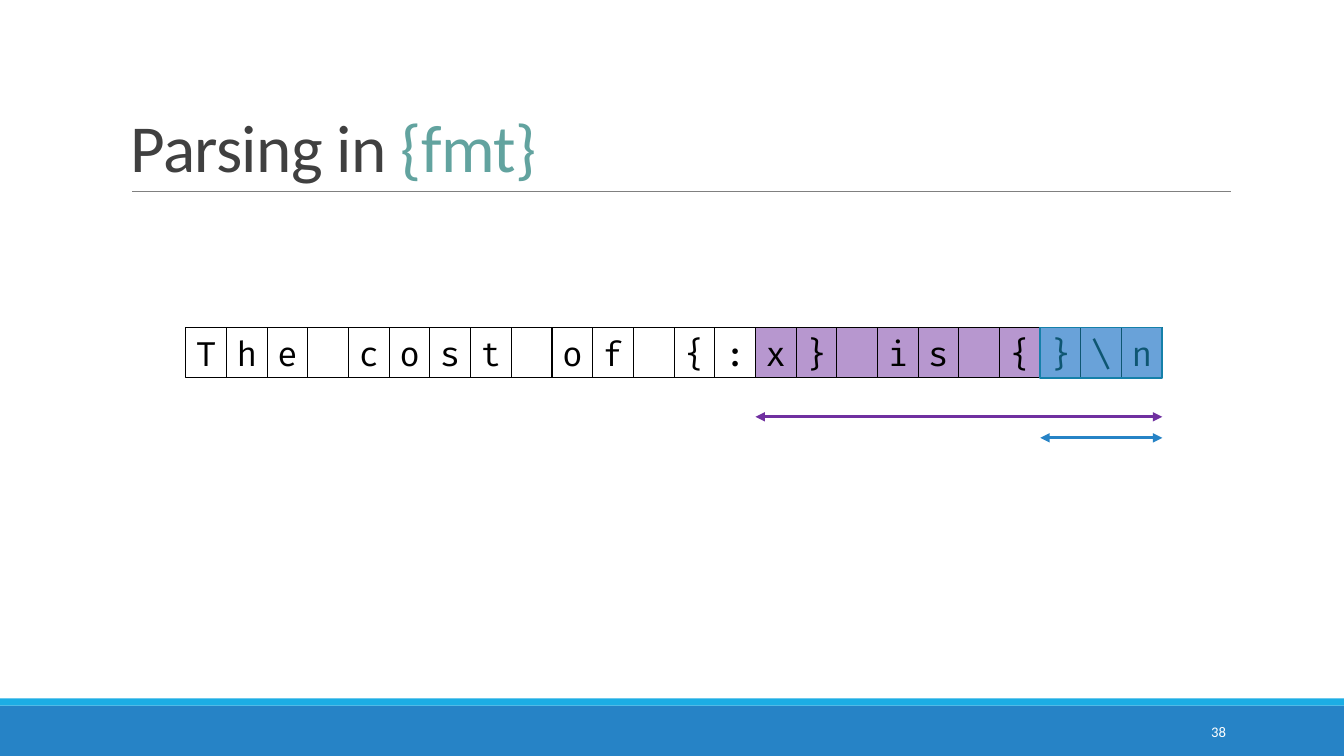
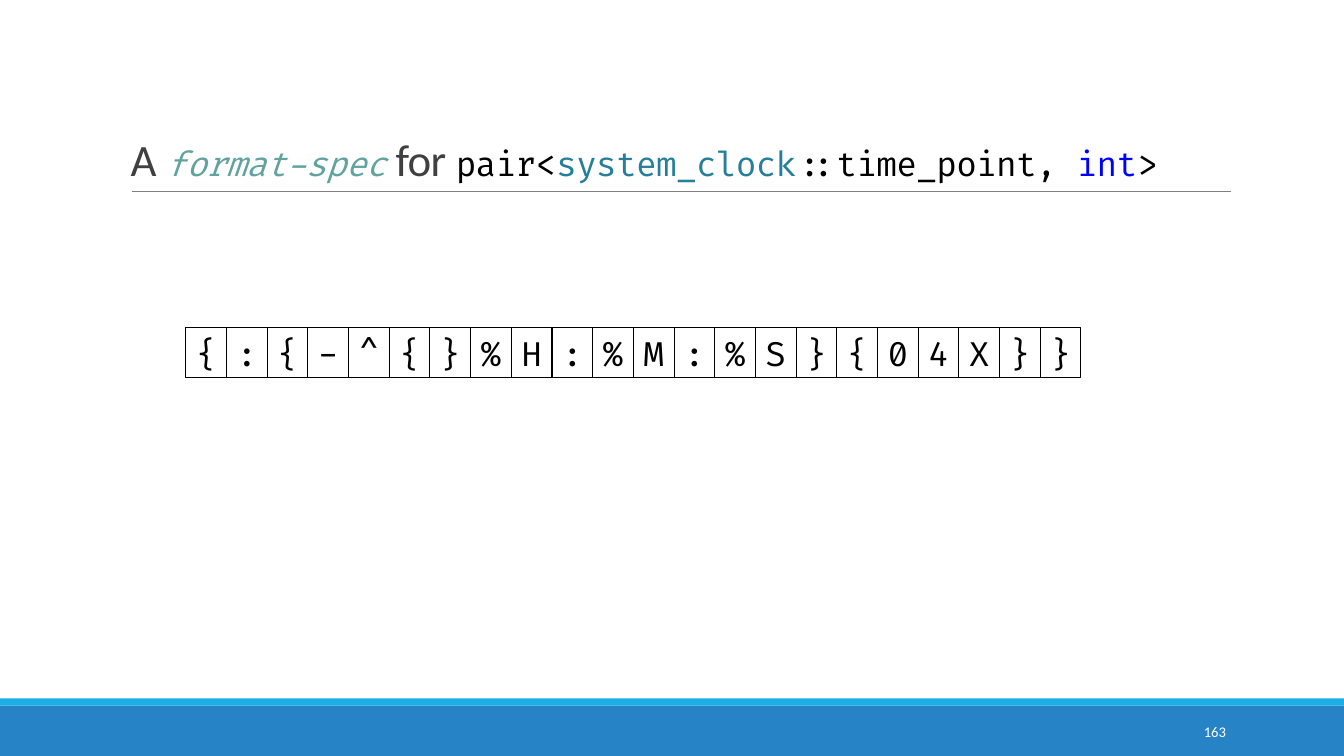
from collections import namedtuple

from lxml import etree
from pptx import Presentation
from pptx import util as u
from pptx.dml.color import RGBColor
from pptx.enum import shapes, text
from pptx.oxml.ns import qn

EMU_PER_PX = 9525
SLIDE_WIDTH, SLIDE_HEIGHT = 1280, 720
ROW_LEFT, ROW_TOP, ROW_HEIGHT = 177, 312, 48
CELL_WIDTH = 930 / 24

WHITE = RGBColor(0xFF, 0xFF, 0xFF)
BLACK = RGBColor(0x00, 0x00, 0x00)
DARK_GRAY = RGBColor(0x40, 0x40, 0x40)
RULE_GRAY = RGBColor(0x80, 0x80, 0x80)
BLUE = RGBColor(0x26, 0x83, 0xC6)
CYAN = RGBColor(0x1C, 0xAD, 0xE4)
DARK_CYAN = RGBColor(0x15, 0x80, 0xA9)
PURPLE = RGBColor(0x70, 0x30, 0xA0)
TEAL = RGBColor(0x62, 0xA3, 0x9F)
TYPE_BLUE = RGBColor(0x26, 0x7F, 0x99)
KEYWORD_BLUE = RGBColor(0x00, 0x00, 0xFF)

BODY_FONT = "Calibri"
CODE_FONT = "Fira Code"

Style = namedtuple("Style", "font size color italic", defaults=[False])
HEADING = Style(BODY_FONT, 48, DARK_GRAY)
HEADING_ACCENT = HEADING._replace(color=TEAL)
SMALL_HEADING = HEADING._replace(size=32)
CODE = Style(CODE_FONT, 24, BLACK)
CODE_TERM = CODE._replace(color=TEAL, italic=True)
CODE_TYPE = CODE._replace(color=TYPE_BLUE)
CODE_KEYWORD = CODE._replace(color=KEYWORD_BLUE)
PAGE_NUMBER = Style(BODY_FONT, 10.5, WHITE)


def px(value):
    return u.Emu(round(value * EMU_PER_PX))


def apply_style(font, style):
    font.name = style.font
    font.size = u.Pt(style.size)
    font.color.rgb = style.color
    font.italic = style.italic


def add_box(slide, left, top, width, height, fill=None, line=None,
            line_width=0.75, opacity=100):
    shape = slide.shapes.add_shape(shapes.MSO_SHAPE.RECTANGLE, px(left), px(top),
                                   px(width), px(height))
    shape.shadow.inherit = False
    if fill is None:
        shape.fill.background()
    else:
        shape.fill.solid()
        shape.fill.fore_color.rgb = fill
        if opacity < 100:
            color = shape.fill._xPr.find(".//" + qn("a:srgbClr"))
            etree.SubElement(color, qn("a:alpha"), val=str(opacity * 1000))
    if line is None:
        shape.line.fill.background()
    else:
        shape.line.color.rgb = line
        shape.line.width = u.Pt(line_width)
    return shape


def add_line(slide, left, right, y, color, width, arrows=False):
    connector = slide.shapes.add_connector(shapes.MSO_CONNECTOR.STRAIGHT,
                                           px(left), px(y), px(right), px(y))
    connector.line.color.rgb = color
    connector.line.width = u.Pt(width)
    if arrows:
        outline = connector.line._get_or_add_ln()
        for end in ("a:headEnd", "a:tailEnd"):
            etree.SubElement(outline, qn(end), type="triangle")
    etree.SubElement(connector._element.spPr, qn("a:effectLst"))


def add_text_box(slide, left, top, width, height, anchor):
    frame = slide.shapes.add_textbox(px(left), px(top), px(width), px(height)).text_frame
    frame.word_wrap = True
    frame.vertical_anchor = anchor
    return frame.paragraphs[0]


def add_title(slide, parts):
    paragraph = add_text_box(slide, 115, 30, 1056, 152, text.MSO_ANCHOR.BOTTOM)
    paragraph.line_spacing = 0.85
    for words, style in parts:
        run = paragraph.add_run()
        run.text = words
        apply_style(run.font, style)
        run._r.get_or_add_rPr().set("spc", "-50")


def add_page_number(slide, number):
    paragraph = add_text_box(slide, 1040, 678, 137, 38, text.MSO_ANCHOR.MIDDLE)
    paragraph.text = str(number)
    paragraph.alignment = text.PP_ALIGN.RIGHT
    apply_style(paragraph.font, PAGE_NUMBER)


def cell_edge(index):
    return ROW_LEFT + index * CELL_WIDTH


def add_cell(slide, index, character, fill):
    shape = add_box(slide, cell_edge(index), ROW_TOP, CELL_WIDTH, ROW_HEIGHT,
                    fill, BLACK, opacity=50)
    if character == " ":
        return
    frame = shape.text_frame
    frame.word_wrap = False
    frame.vertical_anchor = text.MSO_ANCHOR.MIDDLE
    frame.margin_left = frame.margin_right = 0
    paragraph = frame.paragraphs[0]
    paragraph.text = character
    paragraph.alignment = text.PP_ALIGN.CENTER
    apply_style(paragraph.font, CODE)


def add_character_row(slide, characters, marked_from=None):
    for index, character in enumerate(characters):
        marked = marked_from is not None and index >= marked_from
        add_cell(slide, index, character, PURPLE if marked else None)


def add_span_arrow(slide, first, end, y, color):
    add_line(slide, cell_edge(first), cell_edge(end), y, color, 2.25, arrows=True)


def add_slide(presentation, title, number):
    slide = presentation.slides.add_slide(presentation.slide_layouts[6])
    add_box(slide, 0, 672, SLIDE_WIDTH, 48, BLUE)
    add_box(slide, 0, 665, SLIDE_WIDTH, 7, CYAN)
    add_line(slide, 126, 1172, 182, RULE_GRAY, 0.5)
    add_title(slide, title)
    add_page_number(slide, number)
    return slide


def add_parsing_slide(presentation):
    slide = add_slide(presentation, [("Parsing in ", HEADING),
                                     ("{fmt}", HEADING_ACCENT)], 38)
    characters = "The cost of {:x} is {}\\n"
    end = len(characters)
    remaining_start = characters.index("x")
    last_start = characters.rindex("}")
    add_character_row(slide, characters, remaining_start)
    add_box(slide, cell_edge(last_start), ROW_TOP, (end - last_start) * CELL_WIDTH,
            ROW_HEIGHT, CYAN, DARK_CYAN, 1.25, opacity=50)
    add_span_arrow(slide, remaining_start, end, 397, PURPLE)
    add_span_arrow(slide, last_start, end, 417, BLUE)


def add_format_spec_slide(presentation):
    title = [
        ("A ", SMALL_HEADING),
        ("format-spec", CODE_TERM),
        (" for ", SMALL_HEADING),
        ("pair<", CODE),
        ("system_clock", CODE_TYPE),
        ("::time_point, ", CODE),
        ("int", CODE_KEYWORD),
        (">", CODE),
    ]
    slide = add_slide(presentation, title, 163)
    add_character_row(slide, "{:{-^{}%H:%M:%S}{04X}}")


def main():
    presentation = Presentation()
    presentation.slide_width = px(SLIDE_WIDTH)
    presentation.slide_height = px(SLIDE_HEIGHT)
    add_parsing_slide(presentation)
    add_format_spec_slide(presentation)
    presentation.save("out.pptx")


if __name__ == "__main__":
    main()
